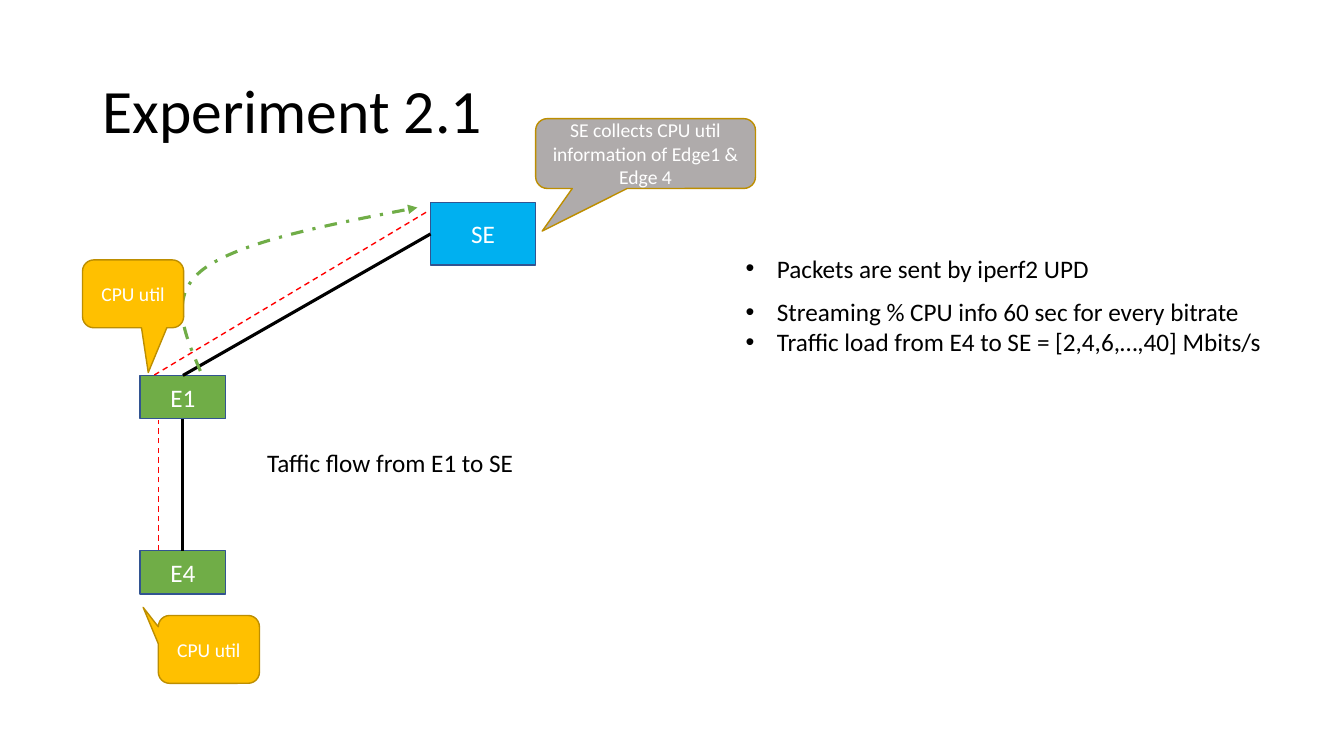
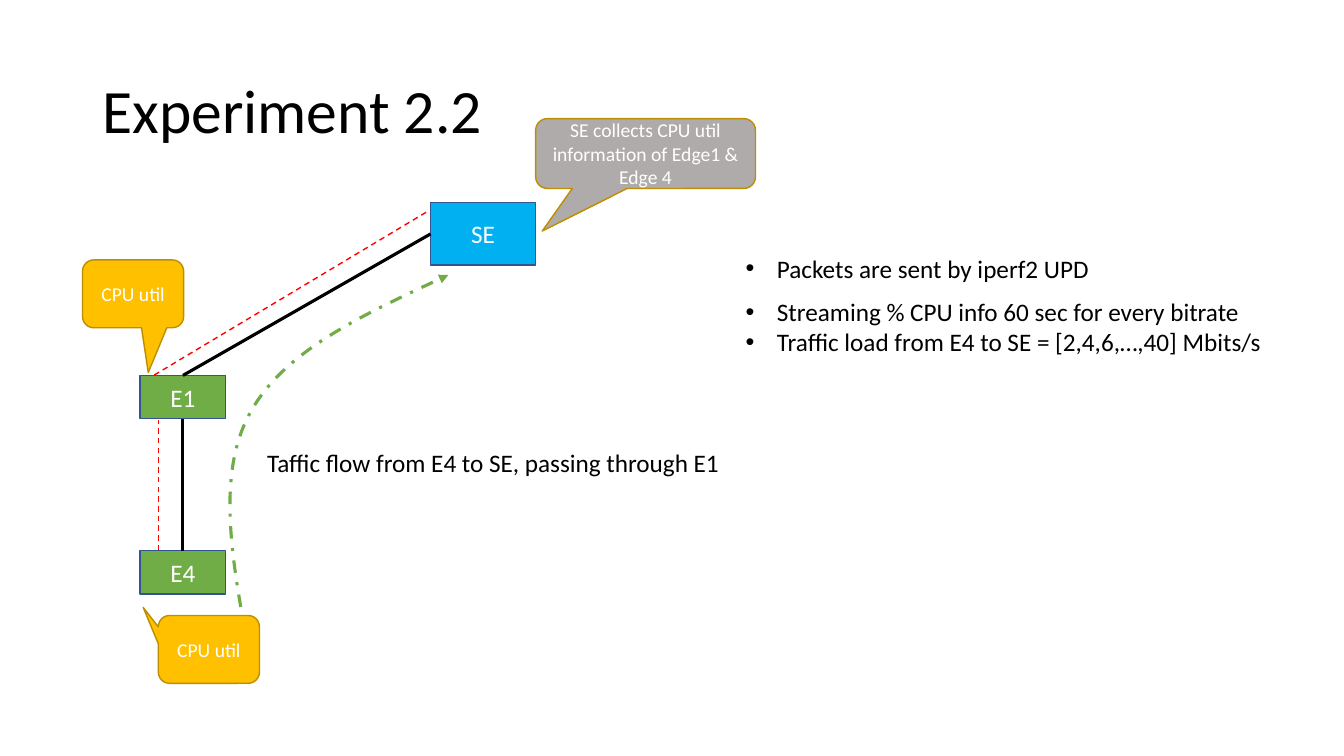
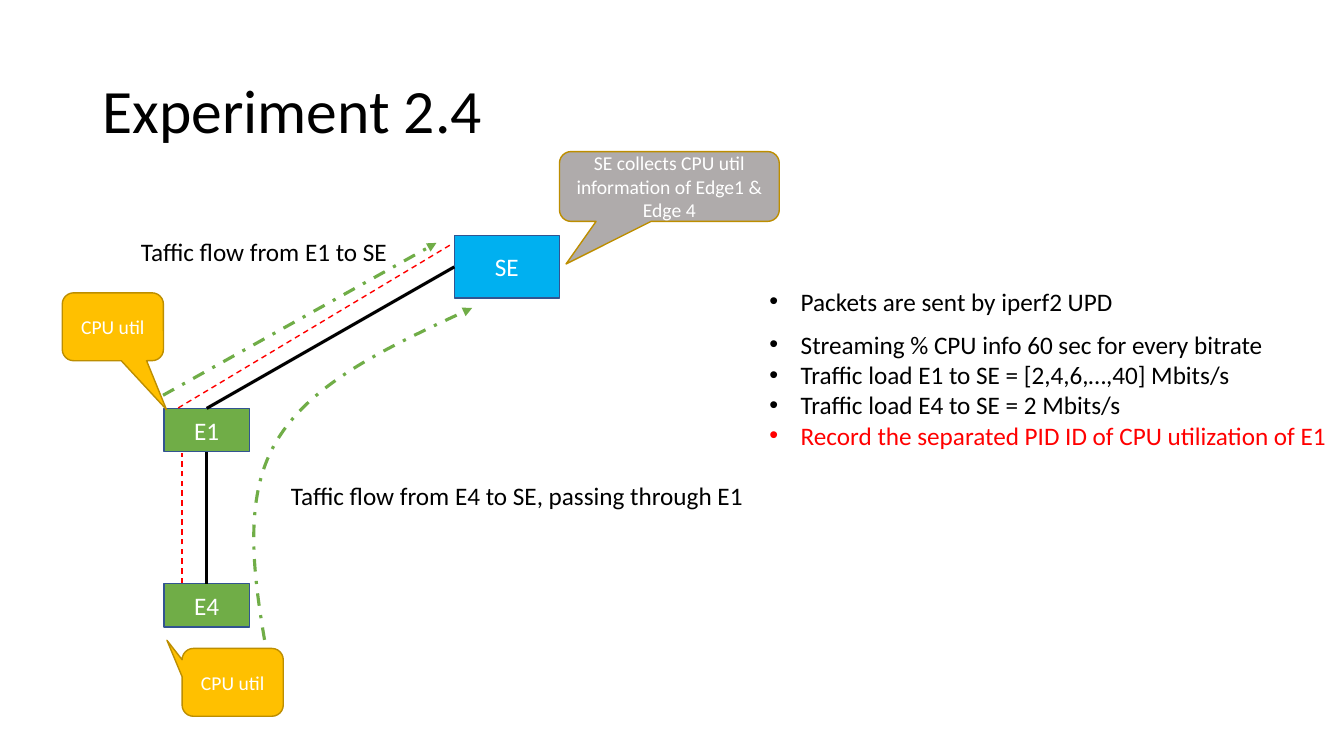
import dataclasses

import pptx
import pptx.dml.color
import pptx.enum.dml
import pptx.enum.shapes
import pptx.enum.text
import pptx.oxml
import pptx.oxml.ns
import pptx.slide
import pptx.util

Cm = pptx.util.Cm
SHAPES = pptx.enum.shapes.MSO_SHAPE
DASHES = pptx.enum.dml.MSO_LINE
ALIGN = pptx.enum.text.PP_ALIGN
ANCHOR = pptx.enum.text.MSO_ANCHOR
AUTO_SIZE = pptx.enum.text.MSO_AUTO_SIZE

FONT = "Calibri"
BLACK, WHITE, RED = "000000", "FFFFFF", "FF0000"
BLUE, GREEN, AMBER, GREY = "00B0F0", "70AD47", "FFC000", "AFABAB"
BOX_EDGE, CALLOUT_EDGE = "325491", "BD8E00"
TOP, LEFT, BOTTOM = 0, 1, 2
LINE_HEIGHT = 1.02

FLOW_E1 = "Taffic flow from E1 to SE"
FLOW_E4 = "Taffic flow from E4 to SE, passing through E1"
PACKETS = "Packets are sent by iperf2 UPD"
STREAMING = "Streaming % CPU info 60 sec for every bitrate"
CURVE_E1 = [(5.05, 9.35), (4.65, 8.41), (4.22, 7.47), (5.13, 6.78),
            (6.05, 6.1), (8.28, 5.66), (10.52, 5.23)]
CURVE_E4 = [(6.22, 16.15), (5.84, 14.05), (5.46, 11.94), (6.3, 10.41),
            (7.14, 8.86), (9.22, 7.9), (11.3, 6.93)]


@dataclasses.dataclass
class Diagram:
    slide: pptx.slide.Slide
    shift_x: float = 0
    shift_y: float = 0

    def point(self, x, y):
        return Cm(x + self.shift_x), Cm(y + self.shift_y)


def color(value):
    return pptx.dml.color.RGBColor.from_string(value)


def add_xml(parent, tag, **attributes):
    element = pptx.oxml.parse_xml(f"<a:{tag} {pptx.oxml.ns.nsdecls('a')}/>")
    for name, value in attributes.items():
        element.set(name, str(value))
    parent.append(element)


def style_text(paragraph, size, text_color, alignment=ALIGN.LEFT):
    paragraph.alignment = alignment
    paragraph.font.name = FONT
    paragraph.font.size = pptx.util.Pt(size)
    paragraph.font.color.rgb = color(text_color)


def style_line(line, line_color, width, dash=None):
    line.color.rgb = color(line_color)
    line.width = pptx.util.Pt(width)
    if dash is not None:
        line.dash_style = dash


def add_arrowhead(shape):
    add_xml(shape.line._get_or_add_ln(), "tailEnd", type="triangle")


def add_title(slide, text):
    title = slide.shapes.title
    title.left, title.top = Cm(2.33), Cm(1.01)
    title.width, title.height = Cm(29.21), Cm(3.68)
    frame = title.text_frame
    frame.text = text
    frame.vertical_anchor = ANCHOR.MIDDLE
    frame.auto_size = AUTO_SIZE.NONE
    frame.paragraphs[0].line_spacing = 0.9
    style_text(frame.paragraphs[0], 44, BLACK)


def add_filled(diagram, kind, text, box, fill, edge, size):
    left, top, width, height = box
    shape = diagram.slide.shapes.add_shape(
        kind, *diagram.point(left, top), Cm(width), Cm(height))
    shape.shadow.inherit = False
    shape.fill.solid()
    shape.fill.fore_color.rgb = color(fill)
    style_line(shape.line, edge, 1)
    frame = shape.text_frame
    frame.word_wrap = True
    frame.vertical_anchor = ANCHOR.MIDDLE
    frame.text = text
    style_text(frame.paragraphs[0], size, WHITE, ALIGN.CENTER)
    return shape


def add_node(diagram, text, box, fill):
    return add_filled(diagram, SHAPES.RECTANGLE, text, box, fill, BOX_EDGE, 18)


def add_callout(diagram, text, box, fill, pointer):
    callout = add_filled(diagram, SHAPES.ROUNDED_RECTANGULAR_CALLOUT,
                         text, box, fill, CALLOUT_EDGE, 14)
    callout.adjustments[0], callout.adjustments[1] = pointer


def add_line(diagram, start, end, line_color, width, dash=None):
    connector = diagram.slide.shapes.add_connector(
        pptx.enum.shapes.MSO_CONNECTOR.STRAIGHT,
        *diagram.point(*start), *diagram.point(*end))
    style_line(connector.line, line_color, width, dash)
    add_xml(connector.element.spPr, "effectLst")
    return connector


def add_link(diagram, first, first_site, second, second_site):
    link = add_line(diagram, (0, 0), (1, 1), BLACK, 2.25)
    link.begin_connect(first, first_site)
    link.end_connect(second, second_site)


def add_straight_flow(diagram, start, end):
    add_arrowhead(add_line(diagram, start, end, GREEN, 2.25, DASHES.DASH_DOT))


def add_curved_flow(diagram, points, left_edge):
    points = [diagram.point(x, y) for x, y in points]
    builder = diagram.slide.shapes.build_freeform(*points[0])
    builder.add_line_segments(points[1:], close=False)
    shape = builder.convert_to_shape()
    outline = shape.element.xpath(".//a:path")[0]
    segments = outline.findall(pptx.oxml.ns.qn("a:lnTo"))
    for index in range(0, len(segments), 3):
        add_xml(outline, "cubicBezTo")
        for segment in segments[index:index + 3]:
            outline[-1].append(segment[0])
            outline.remove(segment)
    inset = diagram.point(left_edge, 0)[0] - shape.left
    for vertex in outline.xpath(".//a:pt"):
        vertex.set("x", str(int(vertex.get("x")) - inset))
    shape.left += inset
    shape.width -= inset
    outline.set("w", str(shape.width))
    shape.shadow.inherit = False
    shape.fill.background()
    style_line(shape.line, GREEN, 2.25, DASHES.DASH_DOT)
    add_arrowhead(shape)


def add_text(diagram, lines, left, top, width, height=LINE_HEIGHT, bullets=False):
    box = diagram.slide.shapes.add_textbox(
        *diagram.point(left, top), Cm(width), Cm(height))
    frame = box.text_frame
    frame.word_wrap = False
    frame.auto_size = AUTO_SIZE.SHAPE_TO_FIT_TEXT
    frame.text = "\n".join(text for text, _ in lines)
    for paragraph, (_, text_color) in zip(frame.paragraphs, lines):
        if bullets:
            properties = paragraph._p.get_or_add_pPr()
            properties.set("marL", str(Cm(0.79)))
            properties.set("indent", str(-Cm(0.79)))
            add_xml(properties, "buFont", typeface="Arial")
            add_xml(properties, "buChar", char="•")
        style_text(paragraph, 18, text_color)


def add_network(diagram):
    server = add_node(diagram, "SE", (10.85, 5.11, 2.65, 1.57), BLUE)
    edge_1, edge_4 = [add_node(diagram, text, (3.53, top, 2.16, 1.09), GREEN)
                      for text, top in (("E1", 9.46), ("E4", 13.88))]
    add_link(diagram, edge_1, TOP, server, LEFT)
    add_link(diagram, edge_4, TOP, edge_1, BOTTOM)
    add_line(diagram, (3.89, 9.45), (10.77, 5.33), RED, 1, DASHES.DASH)
    add_line(diagram, (3.99, 13.87), (3.99, 10.59), RED, 1, DASHES.DASH)


def add_callouts(diagram, edge_1_left, edge_1_pointer):
    add_callout(diagram, "SE collects CPU util information of Edge1 & Edge 4",
                (13.5, 2.99, 5.54, 1.76), GREY, (-0.47, 1.11))
    for left, top, pointer in ((3.99, 15.51, (-0.65, -0.62)),
                               (edge_1_left, 6.55, edge_1_pointer)):
        add_callout(diagram, "CPU util", (left, top, 2.55, 1.71), AMBER, pointer)


def add_notes_list(diagram, loads, width):
    add_text(diagram, [(PACKETS, BLACK)], 18.54, 6.25, 9.4, bullets=True)
    lines = [(STREAMING, BLACK), *loads]
    add_text(diagram, lines, 18.54, 7.34, width,
             0.25 + 0.77 * len(lines), bullets=True)


def add_experiment(presentation, title, shift=(0, 0)):
    slide = presentation.slides.add_slide(presentation.slide_layouts[5])
    add_title(slide, title)
    diagram = Diagram(slide, *shift)
    add_network(diagram)
    return diagram


def add_single_flow(presentation, title, curve, left_edge, label, label_width):
    diagram = add_experiment(presentation, title)
    add_curved_flow(diagram, curve, left_edge)
    add_text(diagram, [(label, BLACK)], 6.48, 11.15, label_width)
    add_callouts(diagram, 2.08, (0.15, 1.16))
    load = "Traffic load from E4 to SE = [2,4,6,…,40] Mbits/s"
    add_notes_list(diagram, [(load, BLACK)], 13.67)


def add_both_flows(presentation, title):
    diagram = add_experiment(presentation, title, (0.6, 0.83))
    add_curved_flow(diagram, CURVE_E4, 5.79)
    add_text(diagram, [(FLOW_E4, BLACK)], 6.48, 11.15, 12.07)
    add_callouts(diagram, 0.97, (0.53, 1.22))
    add_notes_list(diagram, [
        ("Traffic load E1 to SE = [2,4,6,…,40] Mbits/s", BLACK),
        ("Traffic load E4 to SE = 2 Mbits/s", BLACK),
        ("Record the separated PID ID of CPU utilization of E1", RED),
    ], 14.73)
    add_straight_flow(diagram, (3.51, 9.13), (10.4, 5.29))
    add_text(diagram, [(FLOW_E1, BLACK)], 2.7, 4.99, 6.81)


def main():
    presentation = pptx.Presentation()
    presentation.slide_width, presentation.slide_height = Cm(33.87), Cm(19.05)
    add_single_flow(presentation, "Experiment 2.1", CURVE_E1, 4.6, FLOW_E1, 6.81)
    add_single_flow(presentation, "Experiment 2.2", CURVE_E4, 5.79, FLOW_E4, 12.07)
    add_both_flows(presentation, "Experiment 2.4")
    presentation.save("out.pptx")


if __name__ == "__main__":
    main()
